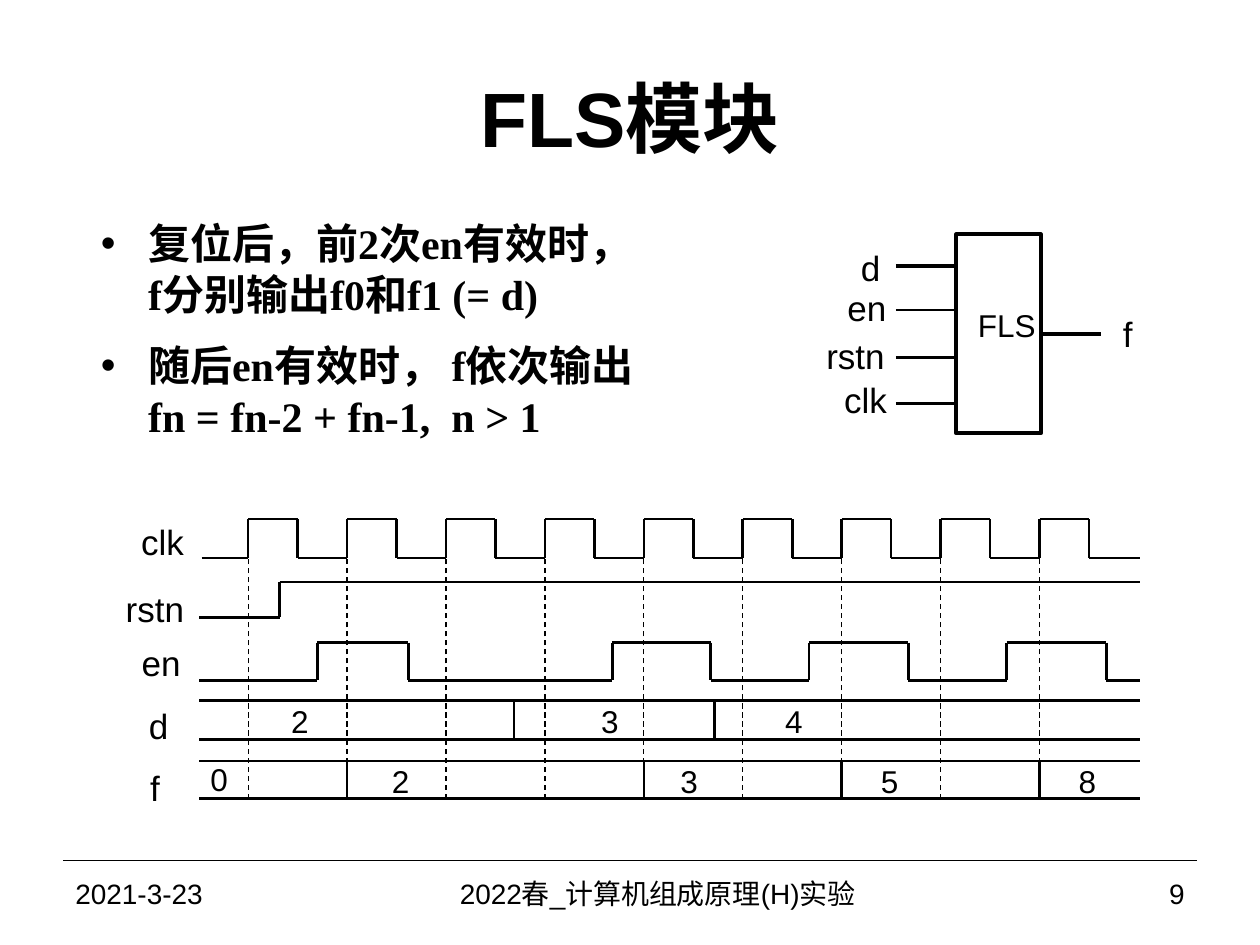
from dataclasses import dataclass
from lxml.etree import SubElement
from pptx import Presentation
from pptx.dml.color import RGBColor
from pptx.enum.dml import MSO_LINE
from pptx.enum.shapes import MSO_CONNECTOR, MSO_SHAPE
from pptx.enum.text import MSO_ANCHOR, MSO_AUTO_SIZE, PP_ALIGN
from pptx.oxml.ns import qn
from pptx.util import Inches, Pt


@dataclass(frozen=True)
class Theme:
    ink: RGBColor = RGBColor(0, 0, 0)
    sans: str = "Arial"
    serif: str = "Times New Roman"
    title: int = 44
    body: int = 24
    label: int = 20
    value: int = 18
    footer: int = 16
    thin: float = 0.75
    medium: float = 1.5
    thick: float = 2.25


THEME = Theme()


def style_paragraph(paragraph, size, name=THEME.sans, bold=False):
    for run in paragraph.runs:
        run.font.size = Pt(size)
        run.font.name = name
        run.font.bold = bold
        run.font.color.rgb = THEME.ink


def place(shape, left, top, width, height):
    shape.left, shape.top = Inches(left), Inches(top)
    shape.width, shape.height = Inches(width), Inches(height)


def add_line(slide, start, end, weight=THEME.medium, dashed=False):
    line = slide.shapes.add_connector(
        MSO_CONNECTOR.STRAIGHT, *(Inches(value) for value in (*start, *end)))
    line.line.color.rgb = THEME.ink
    line.line.width = Pt(weight)
    if dashed:
        line.line.dash_style = MSO_LINE.DASH
    SubElement(line._element.spPr, qn("a:effectLst"))


def add_label(slide, text, center_x, center_y, size=THEME.label):
    """Single-line label centred on a point."""
    width, height = 0.6, 0.4
    box = slide.shapes.add_textbox(
        Inches(center_x - width / 2), Inches(center_y - height / 2),
        Inches(width), Inches(height))
    frame = box.text_frame
    frame.margin_left = frame.margin_right = frame.margin_top = frame.margin_bottom = 0
    frame.word_wrap = False
    frame.vertical_anchor = MSO_ANCHOR.MIDDLE
    frame.text = text
    frame.paragraphs[0].alignment = PP_ALIGN.CENTER
    style_paragraph(frame.paragraphs[0], size)


def fill_title(slide, box, text):
    title = slide.shapes.title
    place(title, *box)
    frame = title.text_frame
    frame.text = text
    frame.vertical_anchor = MSO_ANCHOR.MIDDLE
    frame.paragraphs[0].alignment = PP_ALIGN.CENTER
    style_paragraph(frame.paragraphs[0], THEME.title, bold=True)


def fill_body(slide, box, items):
    body = slide.placeholders[1]
    place(body, *box)
    frame = body.text_frame
    frame.text = "\n".join(text for text, _ in items)
    frame.auto_size = MSO_AUTO_SIZE.NONE
    for paragraph, (_, space) in zip(frame.paragraphs, items):
        paragraph.space_before = Pt(space)
        style_paragraph(paragraph, THEME.body, THEME.serif, bold=True)


def draw_module(slide, left, top, width, height):
    """Module symbol with input pins on the left and one output."""
    block = slide.shapes.add_shape(
        MSO_SHAPE.RECTANGLE, Inches(left), Inches(top), Inches(width), Inches(height))
    block.shadow.inherit = False
    block.fill.background()
    block.line.color.rgb = THEME.ink
    block.line.width = Pt(THEME.thick)
    add_label(slide, "FLS", left + 0.4, top + 0.72, THEME.value)

    pin = 0.48
    # Name, line offset, label offset, distance from block, line weight
    inputs = [("d", 0.25, 0.26, 0.68, THEME.thick), ("en", 0.6, 0.58, 0.71, THEME.medium),
              ("rstn", 0.98, 0.96, 0.8, THEME.medium), ("clk", 1.34, 1.31, 0.72, THEME.medium)]
    for name, line_y, label_y, gap, weight in inputs:
        add_line(slide, (left - pin, top + line_y), (left, top + line_y), weight)
        add_label(slide, name, left - gap, top + label_y)
    right, output_y = left + width, top + 0.79
    add_line(slide, (right, output_y), (right + pin, output_y), THEME.thick)
    add_label(slide, "f", right + 0.69, output_y)


def draw_wave(slide, start, end, low, high, toggles):
    """Digital signal that starts low and flips at each toggle."""
    x, level, other = start, low, high
    for toggle in toggles:
        add_line(slide, (x, level), (toggle, level))
        add_line(slide, (toggle, level), (toggle, other))
        x, level, other = toggle, other, level
    add_line(slide, (x, level), (end, level))


def draw_bus(slide, start, end, top, bottom, changes, values):
    """Bus signal with dividers and values."""
    for y in (top, bottom):
        add_line(slide, (start, y), (end, y))
    for x in changes:
        add_line(slide, (x, top), (x, bottom))
    for text, x, y in values:
        add_label(slide, text, x, y, THEME.value)


def draw_timing(slide, left, top, width, height):
    end, bottom = left + width, top + height
    period, first_edge = 0.785, left + 0.39
    edges = [first_edge + period * index for index in range(9)]

    # Sampling guides
    for x in edges:
        add_line(slide, (x, bottom), (x, top), THEME.thin, dashed=True)

    # Signal names
    for name, x, y in [("clk", -0.29, 0.18), ("rstn", -0.35, 0.71), ("en", -0.3, 1.14),
                       ("d", -0.32, 1.64), ("f", -0.35, 2.13)]:
        add_label(slide, name, left + x, top + y)

    # Waveforms
    clock_toggles = [x + half for x in edges for half in (0, period / 2)]
    draw_wave(slide, left + 0.02, end, top + 0.31, top, clock_toggles)
    draw_wave(slide, left, end, top + 0.78, top + 0.5, [left + 0.64])
    enable_toggles = [left + x for x in (0.94, 1.66, 3.28, 4.06, 4.84, 5.63, 6.41, 7.2)]
    draw_wave(slide, left, end, top + 1.28, top + 0.98, enable_toggles)

    # Buses
    data_y = top + 1.6
    draw_bus(slide, left, end, top + 1.44, top + 1.75, [left + 2.5, left + 4.09],
             [("2", left + 0.8, data_y), ("3", left + 3.26, data_y),
              ("4", left + 4.72, data_y)])
    output_y = top + 2.08
    draw_bus(slide, left, end, top + 1.92, bottom, [edges[i] for i in (1, 4, 6, 8)],
             [("0", left + 0.16, output_y - 0.02), ("2", left + 1.6, output_y),
              ("3", left + 3.89, output_y), ("5", left + 5.48, output_y),
              ("8", left + 7.05, output_y)])


def draw_footer(slide, left, top, width, height):
    add_line(slide, (left, top), (left + width, top), THEME.thin)
    parts = [("2021-3-23", 0, 2.33, PP_ALIGN.LEFT),
             ("2022春_计算机组成原理(H)实验 ", 2.33, 4.83, PP_ALIGN.CENTER),
             ("9", 7.25, 1.75, PP_ALIGN.RIGHT)]
    for text, offset, part_width, alignment in parts:
        box = slide.shapes.add_textbox(
            Inches(left + offset), Inches(top), Inches(part_width), Inches(height))
        frame = box.text_frame
        frame.word_wrap = True
        frame.vertical_anchor = MSO_ANCHOR.MIDDLE
        frame.text = text
        frame.paragraphs[0].alignment = alignment
        style_paragraph(frame.paragraphs[0], THEME.footer)


presentation = Presentation()
presentation.slide_width, presentation.slide_height = Inches(10), Inches(7.5)
slide = presentation.slides.add_slide(presentation.slide_layouts[1])
fill_title(slide, (0.5, 0.3, 9, 1.25), "FLS模块")
fill_body(slide, (0.7, 1.68, 4.46, 2.45), [
    ("复位后，前2次en有效时，f分别输出f0和f1 (= d) ", 6),
    ("随后en有效时， f依次输出fn = fn-2 + fn-1,  n > 1", 12)])
draw_module(slide, 7.59, 1.86, 0.67, 1.58)
draw_timing(slide, 1.58, 4.12, 7.47, 2.22)
draw_footer(slide, 0.5, 6.83, 9, 0.52)
presentation.save("out.pptx")
